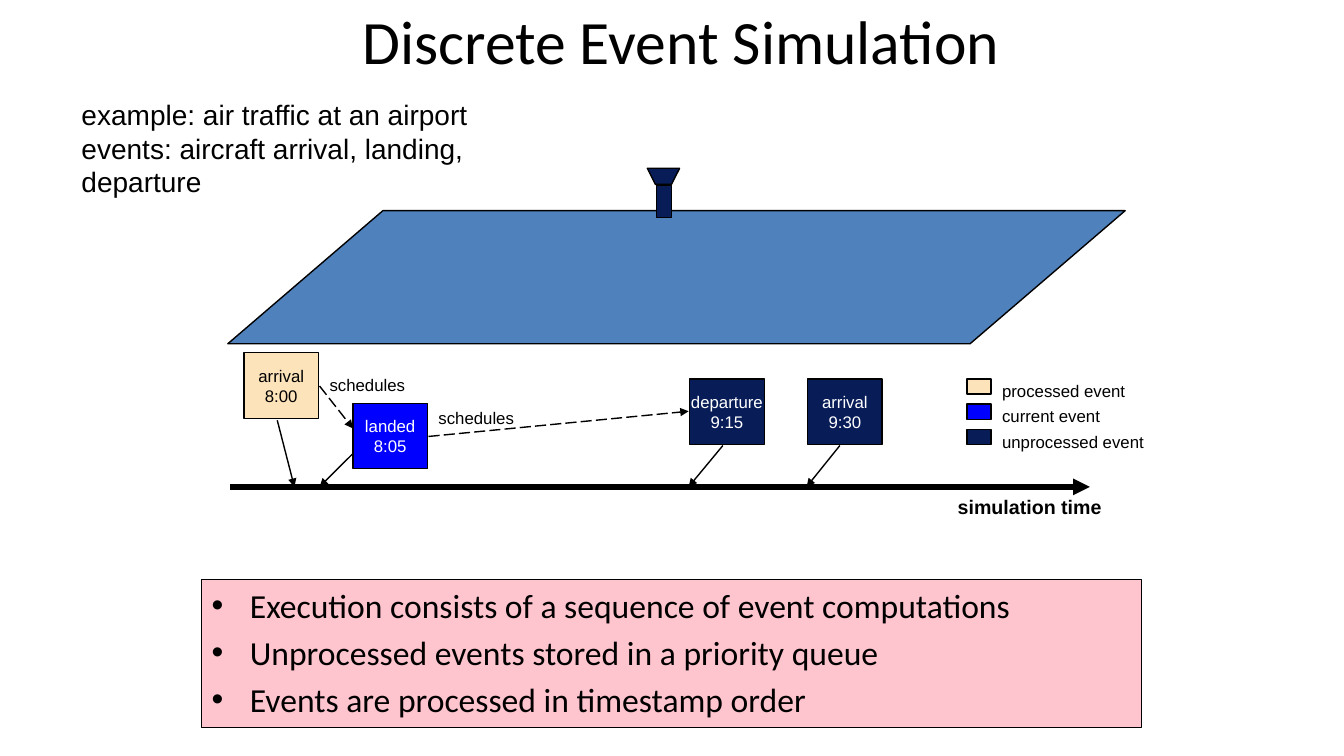
from lxml import etree
from pptx import Presentation
from pptx.dml.color import RGBColor
from pptx.enum.dml import MSO_LINE
from pptx.enum.shapes import MSO_CONNECTOR, MSO_SHAPE
from pptx.enum.text import MSO_ANCHOR, PP_ALIGN
from pptx.oxml.ns import qn
from pptx.util import Inches, Pt

COLORS = {
    "black": "000000", "white": "FFFFFF", "pink": "FFC5CF", "runway": "4F81BD",
    "processed": "FDE3BA", "current": "0000FF", "unprocessed": "081D58",
}
EVENT_W, EVENT_H = 0.74, 0.65


def rgb(name):
    return RGBColor.from_string(COLORS[name])


def outline(sp, fill):
    sp.shadow.inherit = False
    sp.fill.solid()
    sp.fill.fore_color.rgb = rgb(fill)
    sp.line.color.rgb = rgb("black")
    sp.line.width = Pt(1)
    return sp


def add_box(s, x, y, w, h, fill, kind=MSO_SHAPE.RECTANGLE):
    return outline(s.shapes.add_shape(kind, *map(Inches, (x, y, w, h))), fill)


def add_bullet(p, indent):
    pPr = p._p.get_or_add_pPr()
    pPr.set("marL", str(Inches(indent)))
    pPr.set("indent", str(-Inches(indent)))
    etree.SubElement(pPr, qn("a:buFont")).set("typeface", "Arial")
    etree.SubElement(pPr, qn("a:buChar")).set("char", "•")


def write(sp, lines, size, color="black", font="Arial", bold=False, wrap=False,
          anchor=MSO_ANCHOR.TOP, bullet=None, **paragraph_format):
    """Fill a shape with one paragraph per line."""
    tf = sp.text_frame
    tf.word_wrap = wrap
    tf.vertical_anchor = anchor
    paragraph_format.setdefault("alignment", PP_ALIGN.LEFT)
    for i, line in enumerate(lines):
        p = tf.paragraphs[0] if i == 0 else tf.add_paragraph()
        for name, value in paragraph_format.items():
            if i or name != "space_before":
                setattr(p, name, value)
        if bullet:
            add_bullet(p, bullet)
        r = p.add_run()
        r.text = line
        for name, value in {"size": Pt(size), "name": font, "bold": bold}.items():
            setattr(r.font, name, value)
        r.font.color.rgb = rgb(color)


def add_text(s, x, y, w, h, lines, size, **style):
    write(s.shapes.add_textbox(*map(Inches, (x, y, w, h))), lines, size, **style)


def add_arrow(s, start, end, width=1, dashed=False):
    line = s.shapes.add_connector(MSO_CONNECTOR.STRAIGHT, *map(Inches, start + end))
    line.line.color.rgb = rgb("black")
    line.line.width = Pt(width)
    if dashed:
        line.line.dash_style = MSO_LINE.LONG_DASH
    etree.SubElement(line.line._get_or_add_ln(), qn("a:tailEnd")).set("type", "triangle")
    etree.SubElement(line._element.spPr, qn("a:effectLst"))


def add_airport(s, x, y, w, h):
    """Runway field with a control tower on its far edge."""
    field = add_box(s, x, y, w, h, "runway", MSO_SHAPE.PARALLELOGRAM)
    field.adjustments[0] = 1.165
    tower_x, tower_y = x + 4.16, y - 0.42
    add_box(s, tower_x + 0.09, tower_y + 0.17, 0.15, 0.32, "unprocessed")
    cab = [(0, 0), (0.08, 0.16), (0.24, 0.16), (0.32, 0)]
    points = [(Inches(tower_x + dx), Inches(tower_y + dy)) for dx, dy in cab]
    builder = s.shapes.build_freeform(*points[0])
    builder.add_line_segments(points[1:], close=True)
    outline(builder.convert_to_shape(), "unprocessed")


def add_event(s, x, y, name, time, state):
    color = "black" if state == "processed" else "white"
    write(add_box(s, x, y, EVENT_W, EVENT_H, state), [name, time], 12, color=color,
          anchor=MSO_ANCHOR.MIDDLE, alignment=PP_ALIGN.CENTER)


def add_timeline(s, x, y, w):
    """Time axis with the events above it, their time stamps and what they schedule."""
    add_arrow(s, (x, y), (x + w, y), width=4)
    events = [
        (2.42, 3.5, "arrival", "8:00", "processed", (2.75, 4.17), 2.92),
        (6.84, 3.76, "departure", "9:15", "unprocessed", (7.17, 4.42), 6.83),
        (3.5, 4, "landed", "8:05", "current", (3.5, 4.5), 3.17),
        (8.01, 3.76, "arrival", "9:30", "unprocessed", (8.33, 4.42), 8),
    ]
    for left, top, name, time, state, start, stamp in events:
        add_event(s, left, top, name, time, state)
        add_arrow(s, start, (stamp, y))
    schedules = [
        ((4.25, 4.33), (6.83, 4.08), 4),
        ((3.17, 3.83), (3.5, 4.25), 3.67),
    ]
    for start, end, label_y in schedules:
        add_arrow(s, start, end, dashed=True)
        add_text(s, start[0], label_y, 0.95, 0.3, ["schedules"], 12)
    add_text(s, x + 7.12, y + 0.03, 1.64, 0.33, ["simulation time"], 14, bold=True)


def add_legend(s, x, y):
    states = ["processed", "current", "unprocessed"]
    for i, state in enumerate(states):
        add_box(s, x, y + 0.25 * i, 0.24, 0.15, state)
    add_text(s, x + 0.25, y - 0.08, 1.61, 0.85, [f"{state} event" for state in states],
             12, line_spacing=Pt(18))


def add_summary(s, x, y, w, h):
    write(add_box(s, x, y, w, h, "pink"), [
        "Execution consists of a sequence of event computations",
        "Unprocessed events stored in a priority queue",
        "Events are processed in timestamp order",
    ], 24, font="Calibri", wrap=True, bullet=0.38, space_before=Pt(4.8))


def main():
    prs = Presentation()
    prs.slide_width, prs.slide_height = Inches(13.33), Inches(7.5)
    s = prs.slides.add_slide(prs.slide_layouts[6])
    add_text(s, 1.92, 0.05, 9.67, 0.7, ["Discrete Event Simulation"], 44, font="Calibri",
             wrap=True, anchor=MSO_ANCHOR.MIDDLE, alignment=PP_ALIGN.CENTER)
    add_summary(s, 2, 5.75, 9.32, 1.47)
    add_text(s, 0.71, 0.92, 5.2, 0.76, [
        "example: air traffic at an airport",
        "events: aircraft arrival, landing, departure",
    ], 20, wrap=True)
    add_airport(s, 2.26, 2.09, 8.9, 1.32)
    add_timeline(s, 2.28, 4.83, 8.53)
    add_legend(s, 9.59, 3.76)
    prs.save("out.pptx")


if __name__ == "__main__":
    main()
